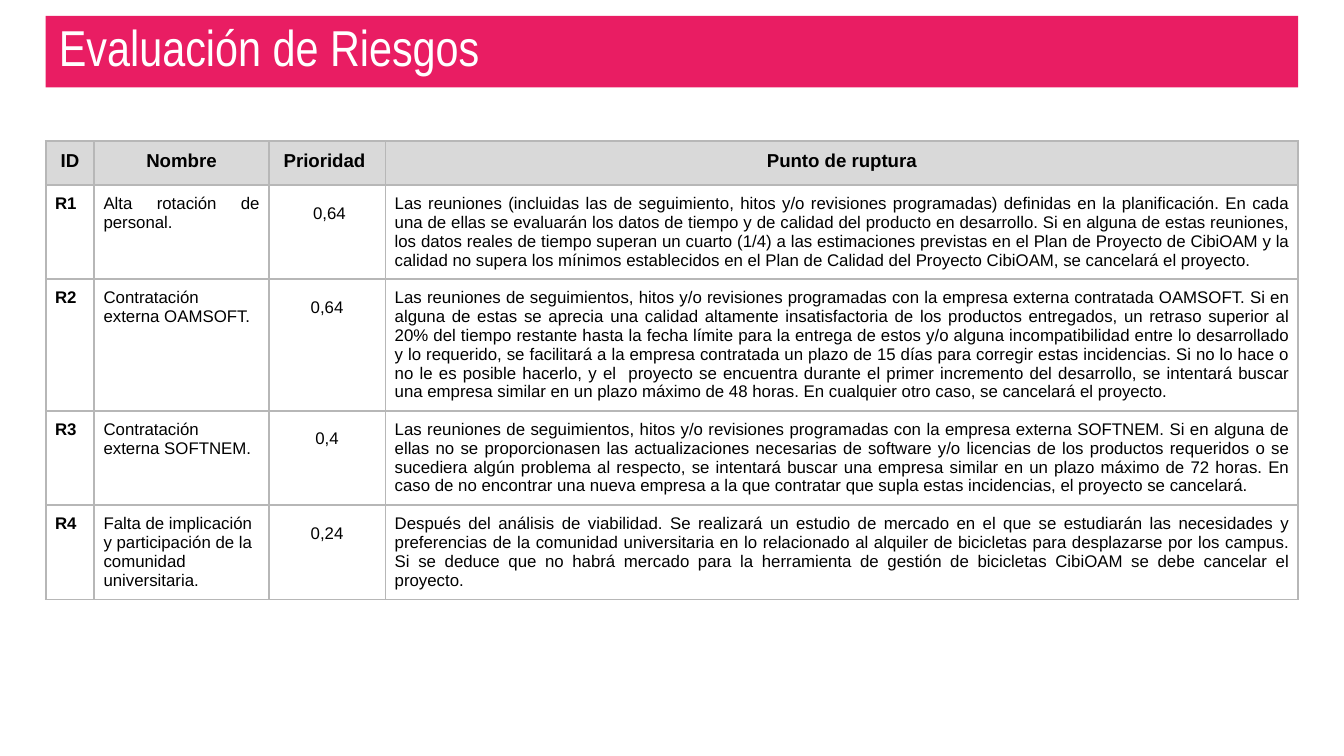
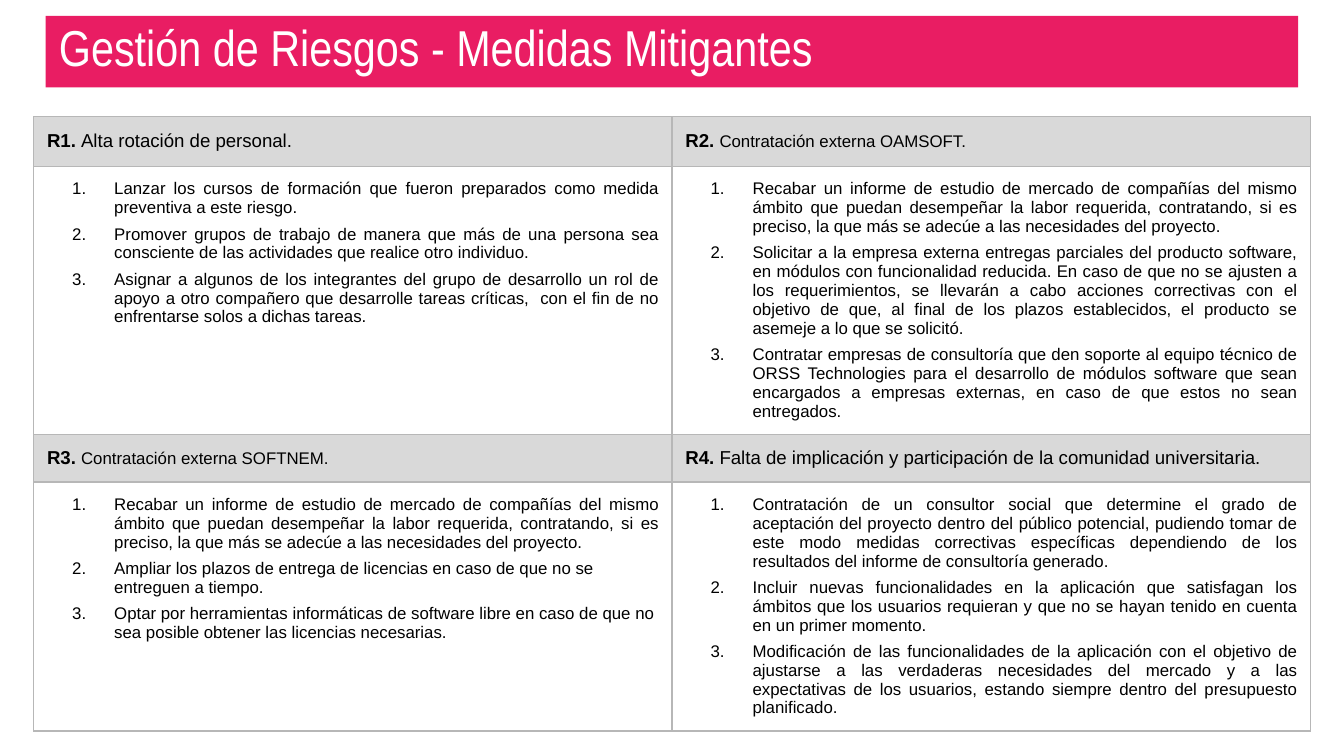
from dataclasses import dataclass

from lxml import etree
from pptx import Presentation
from pptx.dml.color import RGBColor
from pptx.enum.shapes import MSO_SHAPE
from pptx.enum.text import MSO_ANCHOR, PP_ALIGN
from pptx.oxml.ns import qn
from pptx.util import Pt

RECTANGLE = MSO_SHAPE.RECTANGLE
BOTTOM = MSO_ANCHOR.BOTTOM
TOP = MSO_ANCHOR.TOP
LEFT, CENTER, JUSTIFY = PP_ALIGN.LEFT, PP_ALIGN.CENTER, PP_ALIGN.JUSTIFY

COLORS = {"band": "E91D63", "title": "FFFFFF", "text": "000000",
          "header": "D9D9D9", "border": "B7B7B7"}
BODY_FONT, TITLE_FONT = "Arial", "Arial Narrow"
PAGE_WIDTH, PAGE_HEIGHT = 720, 405
BAND_BOX = (24.5, 8.6, 671, 38.2)
RISK_BOX = (24.5, 75.6, 671, 245.4)
MEASURE_BOX = (18, 62.6, 684, 319)


@dataclass
class Risk:
    code: str
    name: str
    priority: str
    breaking_point: str
    measures: list
    name_align: int = LEFT
    heading_size: int = 10
    left_measures: tuple = ()


MARKET_REPORT = (
    "Recabar un informe de estudio de mercado de compañías del mismo ámbito que puedan "
    "desempeñar la labor requerida, contratando, si es preciso, la que más se adecúe a las "
    "necesidades del proyecto.")

RISKS = [
    Risk(
        "R1", "Alta rotación de personal.", " 0,64",
        "Las reuniones (incluidas las de seguimiento, hitos y/o revisiones programadas) "
        "definidas en la planificación. En cada una de ellas se evaluarán los datos de tiempo y "
        "de calidad del producto en desarrollo. Si en alguna de estas reuniones, los datos "
        "reales de tiempo superan un cuarto (1/4) a las estimaciones previstas en el Plan de "
        "Proyecto de CibiOAM y la calidad no supera los mínimos establecidos en el Plan de "
        "Calidad del Proyecto CibiOAM, se cancelará el proyecto.",
        ["Lanzar los cursos de formación que fueron preparados como medida preventiva a este "
         "riesgo.",
         "Promover grupos de trabajo de manera que más de una persona sea consciente de las "
         "actividades que realice otro individuo.",
         "Asignar a algunos de los integrantes del grupo de desarrollo un rol de apoyo a otro "
         "compañero que desarrolle tareas críticas,  con el fin de no enfrentarse solos a "
         "dichas tareas."],
        name_align=JUSTIFY),
    Risk(
        "R2", "Contratación externa OAMSOFT.", "0,64",
        "Las reuniones de seguimientos, hitos y/o revisiones programadas con la empresa externa "
        "contratada OAMSOFT. Si en alguna de estas se aprecia una calidad altamente "
        "insatisfactoria de los productos entregados, un retraso superior al 20% del tiempo "
        "restante hasta la fecha límite para la entrega de estos y/o alguna incompatibilidad "
        "entre lo desarrollado y lo requerido, se facilitará a la empresa contratada un plazo "
        "de 15 días para corregir estas incidencias. Si no lo hace o no le es posible hacerlo, "
        "y el  proyecto se encuentra durante el primer incremento del desarrollo, se intentará "
        "buscar una empresa similar en un plazo máximo de 48 horas. En cualquier otro caso, se "
        "cancelará el proyecto.",
        [MARKET_REPORT,
         "Solicitar a la empresa externa entregas parciales del producto software, en módulos "
         "con funcionalidad reducida. En caso de que no se ajusten a los requerimientos, se "
         "llevarán a cabo acciones correctivas con el objetivo de que, al final de los plazos "
         "establecidos, el producto se asemeje a lo que se solicitó.",
         "Contratar empresas de consultoría que den soporte al equipo técnico de ORSS "
         "Technologies para el desarrollo de módulos software que sean encargados a empresas "
         "externas, en caso de que estos no sean entregados."],
        heading_size=9),
    Risk(
        "R3", "Contratación externa SOFTNEM.", "0,4",
        "Las reuniones de seguimientos, hitos y/o revisiones programadas con la empresa externa "
        "SOFTNEM. Si en alguna de ellas no se proporcionasen las actualizaciones necesarias de "
        "software y/o licencias de los productos requeridos o se sucediera algún problema al "
        "respecto, se intentará buscar una empresa similar en un plazo máximo de 72 horas. En "
        "caso de no encontrar una nueva empresa a la que contratar que supla estas incidencias, "
        "el proyecto se cancelará.",
        [MARKET_REPORT,
         "Ampliar los plazos de entrega de licencias en caso de que no se entreguen a tiempo.",
         "Optar por herramientas informáticas de software libre en caso de que no sea posible "
         "obtener las licencias necesarias."],
        heading_size=9, left_measures=(1, 2)),
    Risk(
        "R4", "Falta de implicación y participación de la comunidad universitaria.", "0,24",
        "Después del análisis de viabilidad. Se realizará un estudio de mercado en el que se "
        "estudiarán las necesidades y preferencias de la comunidad universitaria en lo "
        "relacionado al alquiler de bicicletas para desplazarse por los campus. Si se deduce "
        "que no habrá mercado para la herramienta de gestión de bicicletas CibiOAM se debe "
        "cancelar el proyecto.",
        ["Contratación de un consultor social que determine el grado de aceptación del proyecto "
         "dentro del público potencial, pudiendo tomar de este modo medidas correctivas "
         "específicas dependiendo de los resultados del informe de consultoría generado.",
         "Incluir nuevas funcionalidades en la aplicación que satisfagan los ámbitos que los "
         "usuarios requieran y que no se hayan tenido en cuenta en un primer momento.",
         "Modificación de las funcionalidades de la aplicación con el objetivo de ajustarse a "
         "las verdaderas necesidades del mercado y a las expectativas de los usuarios, estando "
         "siempre dentro del presupuesto planificado."]),
]


def color(name):
    return RGBColor.from_string(COLORS[name])


def set_font(font, size, bold=False, name=BODY_FONT, tint="text"):
    font.name = name
    font.size = Pt(size)
    font.bold = bold
    font.color.rgb = color(tint)


def write(para, text, size, align=LEFT, bold=False, space=None, line_spacing=None):
    para.text = text
    para.alignment = align
    if space is not None:
        para.space_before = para.space_after = Pt(space)
    if line_spacing:
        para.line_spacing = line_spacing
    set_font(para.font, size, bold)


def number(para, indent, hanging):
    properties = para._p.get_or_add_pPr()
    properties.set("marL", str(Pt(indent)))
    properties.set("indent", str(-Pt(hanging)))
    tint = etree.SubElement(properties, qn("a:buClr"))
    etree.SubElement(tint, qn("a:srgbClr"), val=COLORS["text"])
    etree.SubElement(properties, qn("a:buAutoNum"), type="arabicPeriod")


def style_cell(cell, inset, border, header):
    cell.margin_left = cell.margin_right = Pt(inset)
    cell.margin_top = cell.margin_bottom = Pt(inset)
    cell.vertical_anchor = TOP
    properties = cell._tc.get_or_add_tcPr()
    for side in ("lnL", "lnR", "lnT", "lnB"):
        line = etree.SubElement(properties, qn(f"a:{side}"), w=str(Pt(border)))
        fill = etree.SubElement(line, qn("a:solidFill"))
        etree.SubElement(fill, qn("a:srgbClr"), val=COLORS["border"])
    if header:
        cell.fill.solid()
        cell.fill.fore_color.rgb = color("header")
    else:
        cell.fill.background()


def add_grid(page, box, widths, heights, inset, border, header_rows):
    frame = page.shapes.add_table(len(heights), len(widths), *map(Pt, box))
    table = frame.table
    table.first_row = table.horz_banding = False
    for column, width in zip(table.columns, widths):
        column.width = Pt(width)
    for index, (row, height) in enumerate(zip(table.rows, heights)):
        row.height = Pt(height)
        for cell in row.cells:
            style_cell(cell, inset, border, index in header_rows)
    return table


def add_title_band(page, box, title):
    band = page.shapes.add_shape(RECTANGLE, *map(Pt, box))
    band.shadow.inherit = False
    band.fill.solid()
    band.fill.fore_color.rgb = color("band")
    band.line.fill.background()
    frame = band.text_frame
    frame.word_wrap = True
    frame.vertical_anchor = BOTTOM
    frame.margin_left = frame.margin_right = Pt(7.2)
    frame.margin_top, frame.margin_bottom = Pt(0), Pt(5.5)
    para = frame.paragraphs[0]
    para.text = title
    para.alignment = LEFT
    set_font(para.font, 27, name=TITLE_FONT, tint="title")


def add_risk_table(page, box):
    widths = [26, 93.5, 62.5]
    widths.append(box[2] - sum(widths))
    heights = [23.6, 50.4, 70.4, 50.5, 50.5]
    table = add_grid(page, box, widths, heights, 5, 1, {0})
    for column, label in enumerate(["ID", "Nombre", "Prioridad ", "Punto de ruptura"]):
        write(table.cell(0, column).text_frame.paragraphs[0], label, 10, CENTER, True)
    for row, risk in enumerate(RISKS, 1):
        entries = [(risk.code, LEFT, True, None), (risk.name, risk.name_align, False, None),
                   (risk.priority, CENTER, False, 1.5),
                   (risk.breaking_point, JUSTIFY, False, None)]
        for column, (text, align, bold, line_spacing) in enumerate(entries):
            para = table.cell(row, column).text_frame.paragraphs[0]
            write(para, text, 9, align, bold, 4, line_spacing)


def fill_heading(cell, risk):
    para = cell.text_frame.paragraphs[0]
    for text, size, bold in ((f"{risk.code}. ", 10, True),
                             (risk.name, risk.heading_size, False)):
        span = para.add_run()
        span.text = text
        set_font(span.font, size, bold)


def fill_measures(cell, risk):
    frame = cell.text_frame
    for index, measure in enumerate(risk.measures):
        para = frame.add_paragraph() if index else frame.paragraphs[0]
        number(para, 36, 22.5)
        write(para, measure, 9, LEFT if index in risk.left_measures else JUSTIFY)
        para.space_before = Pt(4 if index else 0)


def add_measure_table(page, box):
    heights = [26.5, 143.5, 25.2, 123.8]
    table = add_grid(page, box, [box[2] / 2] * 2, heights, 7.2, 0.75, {0, 2})
    for index, risk in enumerate(RISKS):
        block, column = divmod(index, 2)
        fill_heading(table.cell(2 * block, column), risk)
        fill_measures(table.cell(2 * block + 1, column), risk)


def main():
    deck = Presentation()
    deck.slide_width, deck.slide_height = Pt(PAGE_WIDTH), Pt(PAGE_HEIGHT)
    for title, add_content, box in (
            ("Evaluación de Riesgos", add_risk_table, RISK_BOX),
            ("Gestión de Riesgos - Medidas Mitigantes", add_measure_table, MEASURE_BOX)):
        page = deck.slides.add_slide(deck.slide_layouts[6])
        add_title_band(page, BAND_BOX, title)
        add_content(page, box)
    deck.save("out.pptx")


if __name__ == "__main__":
    main()
